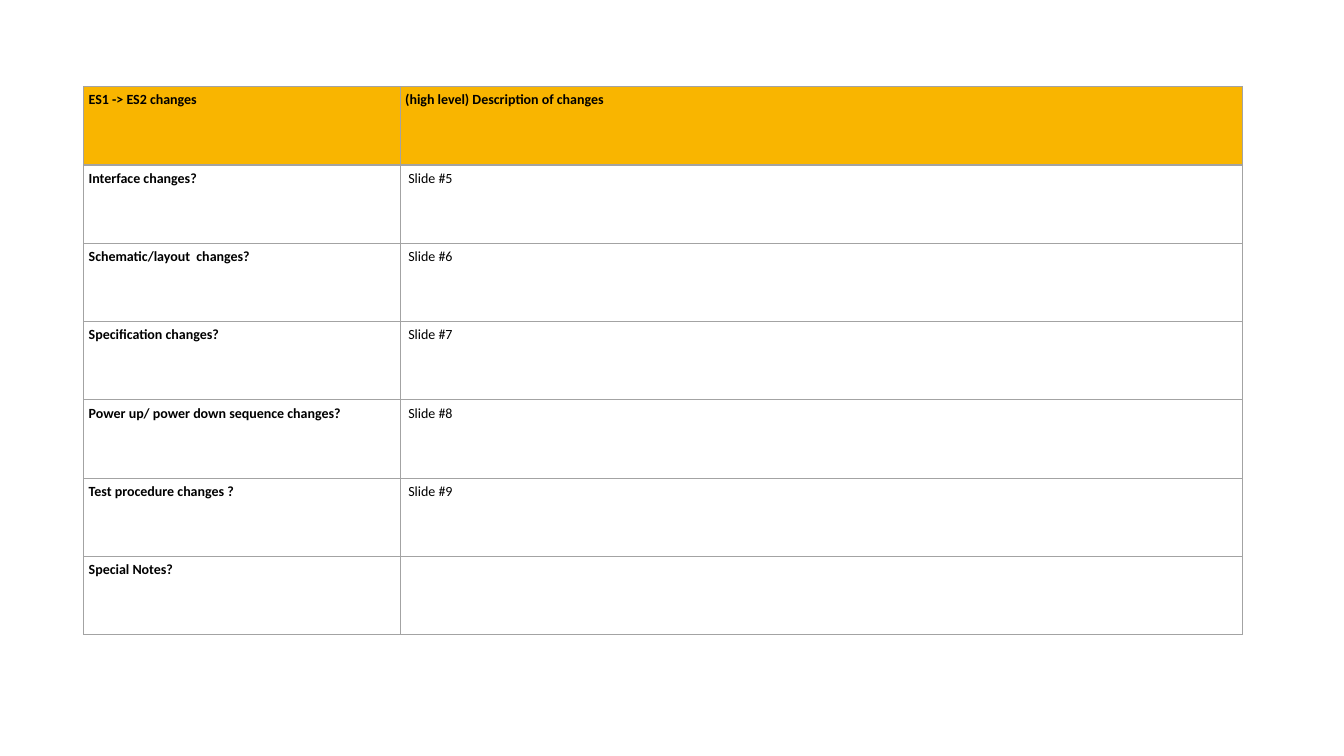
from lxml import etree
from pptx import Presentation
from pptx import util as u
from pptx.dml.color import RGBColor
from pptx.oxml import ns

AMBER = RGBColor(0xF9, 0xB5, 0x00)
BLACK = RGBColor(0x00, 0x00, 0x00)
GREY = RGBColor(0xA3, 0xA3, 0xA3)

COLUMN_WIDTHS = (226.08, 601.92)
ROW_HEIGHT = 55.95
CELL_MARGIN = 3.6
BORDER_WIDTH = 1

CHANGES = (
    ("ES1 -> ES2 changes", "(high level) Description of changes"),
    ("Interface changes?", " Slide #5"),
    ("Schematic/layout  changes?", " Slide #6"),
    ("Specification changes?", " Slide #7"),
    ("Power up/ power down sequence changes?", " Slide #8"),
    ("Test procedure changes ?", " Slide #9"),
    ("Special Notes?", ""),
)


def set_borders(cell):
    """Draw a thin grey line on all four sides of a cell."""
    properties = cell._tc.get_or_add_tcPr()
    for position, side in enumerate(("lnL", "lnR", "lnT", "lnB")):
        line = etree.Element(ns.qn(f"a:{side}"), w=str(u.Pt(BORDER_WIDTH)))
        fill = etree.SubElement(line, ns.qn("a:solidFill"))
        etree.SubElement(fill, ns.qn("a:srgbClr"), val=str(GREY))
        properties.insert(position, line)


def write_cell(cell, content, bold, fill_color=None):
    """Fill, frame and write one table cell."""
    for side in ("left", "right", "top", "bottom"):
        setattr(cell, f"margin_{side}", u.Pt(CELL_MARGIN))
    if fill_color is None:
        cell.fill.background()
    else:
        cell.fill.solid()
        cell.fill.fore_color.rgb = fill_color
    set_borders(cell)
    paragraph = cell.text_frame.paragraphs[0]
    font_format = {"name": "Calibri", "size": u.Pt(10), "bold": bold}
    target = paragraph
    if content:
        target = paragraph.add_run()
        target.text = content
    for name, value in font_format.items():
        setattr(target.font, name, value)
    target.font.color.rgb = BLACK


def add_changes_table(slide, left, top):
    """Add the table of changes, with an amber header row."""
    frame = slide.shapes.add_table(
        len(CHANGES), len(COLUMN_WIDTHS), u.Pt(left), u.Pt(top),
        u.Pt(sum(COLUMN_WIDTHS)), u.Pt(ROW_HEIGHT * len(CHANGES)))
    table = frame.table
    table.horz_banding = False
    for column, width in zip(table.columns, COLUMN_WIDTHS):
        column.width = u.Pt(width)
    for row_index, row in enumerate(CHANGES):
        table.rows[row_index].height = u.Pt(ROW_HEIGHT)
        is_header = row_index == 0
        for column_index, content in enumerate(row):
            write_cell(table.cell(row_index, column_index), content,
                       bold=is_header or column_index == 0,
                       fill_color=AMBER if is_header else None)


def main():
    """Build the slide and save it."""
    presentation = Presentation()
    presentation.slide_width = u.Pt(960)
    presentation.slide_height = u.Pt(540)
    slide = presentation.slides.add_slide(presentation.slide_layouts[6])
    add_changes_table(slide, 59.76, 61.92)
    presentation.save("out.pptx")


if __name__ == "__main__":
    main()
